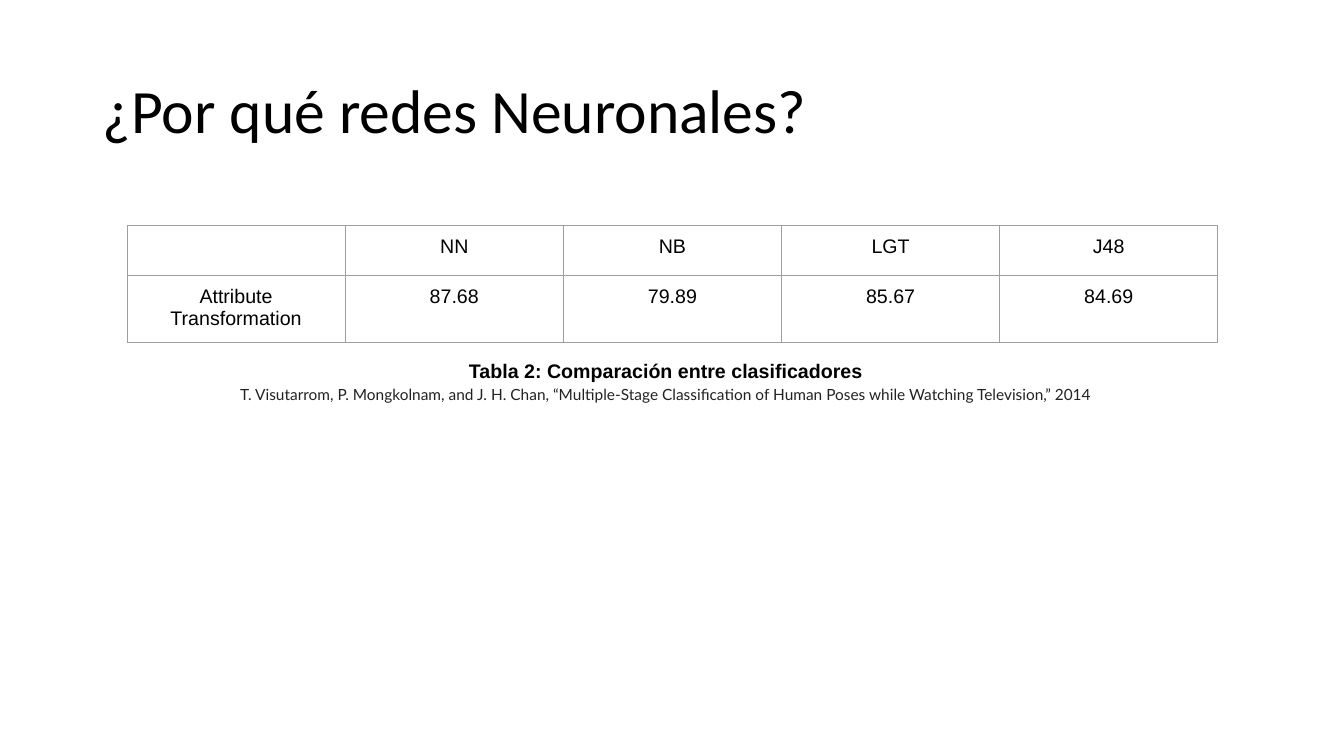
from dataclasses import dataclass

from lxml import etree
from pptx import Presentation
from pptx.dml.color import RGBColor
from pptx.enum.text import MSO_ANCHOR, PP_ALIGN
from pptx.oxml.ns import qn
from pptx.util import Inches, Pt

CENTER = PP_ALIGN.CENTER
LEFT = PP_ALIGN.LEFT
MIDDLE = MSO_ANCHOR.MIDDLE
TOP = MSO_ANCHOR.TOP


@dataclass(frozen=True)
class Theme:
    ink: str = "000000"
    citation_ink: str = "222222"
    paper: str = "FFFFFF"
    border: str = "9E9E9E"
    border_width: float = 0.75
    title_font: str = "Calibri"
    body_font: str = "Arial"
    citation_font: str = "Lato"
    title_size: int = 44
    body_size: int = 14
    citation_size: int = 11


THEME = Theme()
TITLE = "¿Por qué redes Neuronales?"
CAPTION = "Tabla 2: Comparación entre clasificadores"
CITATION = (
    "T. Visutarrom, P. Mongkolnam, and J. H. Chan, “Multiple-Stage "
    "Classification of Human Poses while Watching Television,” 2014"
)
ACCURACY = [
    ["", "NN", "NB", "LGT", "J48"],
    ["Attribute Transformation", "87.68", "79.89", "85.67", "84.69"],
]
ROW_HEIGHTS = [0.49, 0.63]


def write(paragraph, text, font, size, color, align=CENTER, bold=False):
    paragraph.text = text
    paragraph.alignment = align
    for run in paragraph.runs:
        run.font.name = font
        run.font.size = Pt(size)
        run.font.bold = bold
        run.font.color.rgb = RGBColor.from_string(color)


def set_margins(target, horizontal, vertical):
    target.margin_left = target.margin_right = Inches(horizontal)
    target.margin_top = target.margin_bottom = Inches(vertical)


def add_borders(cell):
    properties = cell._tc.get_or_add_tcPr()
    for position, side in enumerate(("lnL", "lnR", "lnT", "lnB")):
        line = etree.Element(qn(f"a:{side}"), w=str(Pt(THEME.border_width)))
        fill = etree.SubElement(line, qn("a:solidFill"))
        etree.SubElement(fill, qn("a:srgbClr"), val=THEME.border)
        properties.insert(position, line)


def place_title(slide, left, top, width, height):
    title = slide.shapes.title
    title.left, title.top = Inches(left), Inches(top)
    title.width, title.height = Inches(width), Inches(height)
    frame = title.text_frame
    frame.vertical_anchor = MIDDLE
    set_margins(frame, 0.1, 0.05)
    heading = frame.paragraphs[0]
    write(heading, TITLE, THEME.title_font, THEME.title_size, THEME.ink, LEFT)
    heading.line_spacing = 0.9


def add_accuracy_table(slide, left, top, width):
    column_count = len(ACCURACY[0])
    table = slide.shapes.add_table(
        len(ACCURACY), column_count, Inches(left), Inches(top),
        Inches(width), Inches(sum(ROW_HEIGHTS)),
    ).table
    table.first_row = table.horz_banding = False
    for column in table.columns:
        column.width = Inches(width / column_count)
    for row, height, values in zip(table.rows, ROW_HEIGHTS, ACCURACY):
        row.height = Inches(height)
        for cell, value in zip(row.cells, values):
            cell.fill.solid()
            cell.fill.fore_color.rgb = RGBColor.from_string(THEME.paper)
            add_borders(cell)
            if value:
                set_margins(cell, 0.1, 0.1)
                cell.vertical_anchor = TOP
                write(cell.text_frame.paragraphs[0], value,
                      THEME.body_font, THEME.body_size, THEME.ink)


def add_caption(slide, left, top, width, height):
    frame = slide.shapes.add_textbox(
        Inches(left), Inches(top), Inches(width), Inches(height)
    ).text_frame
    frame.word_wrap = True
    set_margins(frame, 0.1, 0.1)
    caption, citation = frame.paragraphs[0], frame.add_paragraph()
    write(caption, CAPTION, THEME.body_font, THEME.body_size, THEME.ink, bold=True)
    write(citation, CITATION, THEME.citation_font, THEME.citation_size,
          THEME.citation_ink)
    for paragraph in (caption, citation):
        paragraph.line_spacing = 1.15


def main():
    deck = Presentation()
    deck.slide_width, deck.slide_height = Inches(13.33), Inches(7.5)
    slide = deck.slides.add_slide(deck.slide_layouts.get_by_name("Title Only"))
    place_title(slide, 0.92, 0.4, 11.5, 1.45)
    add_caption(slide, 1.9, 3.43, 9.41, 0.64)
    add_accuracy_table(slide, 1.26, 2.24, 10.82)
    deck.save("out.pptx")


if __name__ == "__main__":
    main()
